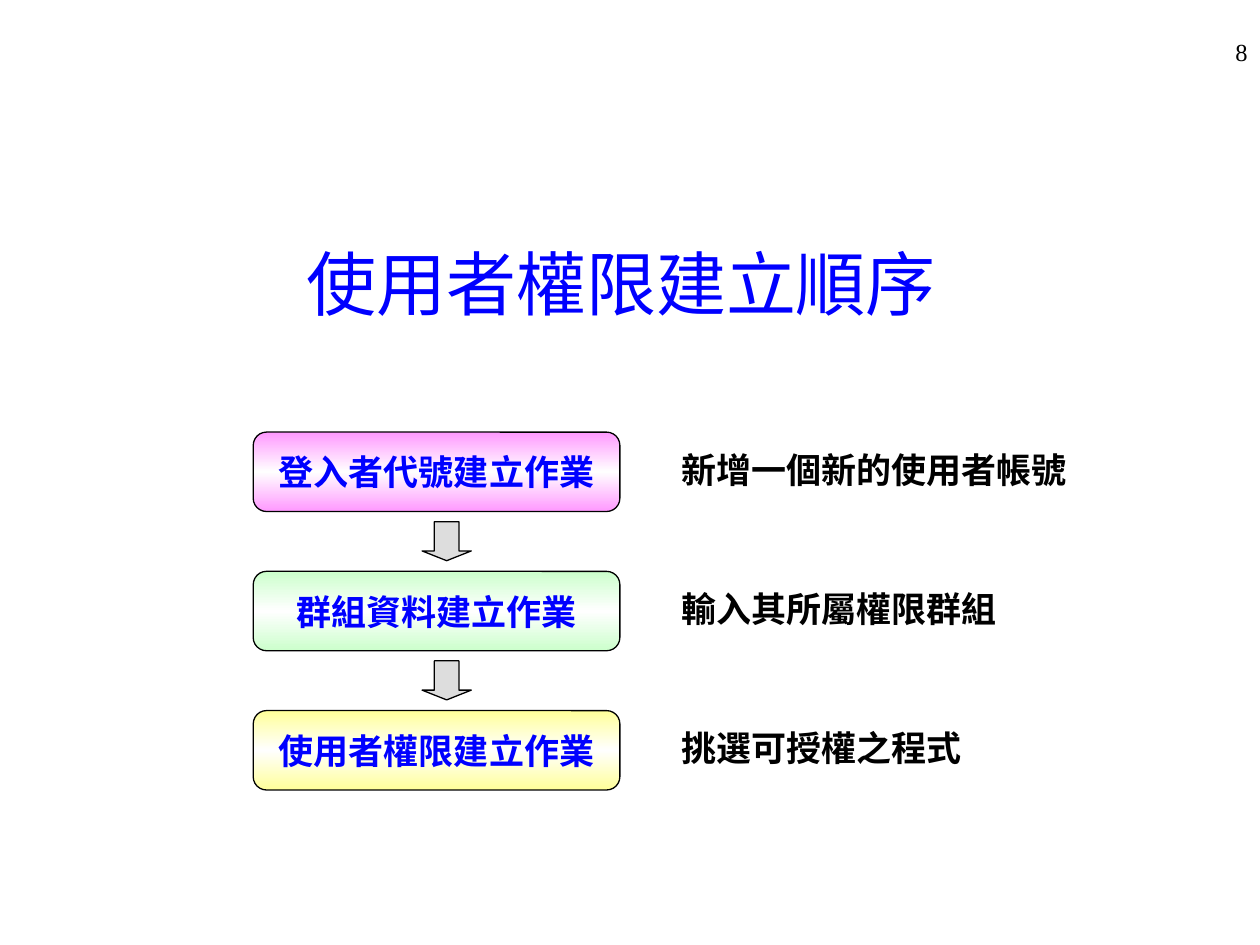
from copy import deepcopy
from pptx import Presentation
from pptx.util import Inches, Pt
from pptx.dml.color import RGBColor
from pptx.enum.shapes import MSO_SHAPE as SHAPE
from pptx.enum.text import MSO_ANCHOR as ANCHOR, MSO_AUTO_SIZE as SIZE, PP_ALIGN as ALIGN

TITLE = "使用者權限建立順序"
PAGE = "8"
STEPS = [
    ("登入者代號建立作業", "FF99FF", "新增一個新的使用者帳號"),
    ("群組資料建立作業", "CCFFCC", "輸入其所屬權限群組"),
    ("使用者權限建立作業", "FFFF99", "挑選可授權之程式"),
]
BLUE, BLACK, WHITE, GREY = "0000FF", "000000", "FFFFFF", "DDDDDD"
TOP, PITCH = 3.43, 1.105


def color(code):
    return RGBColor.from_string(code)


def write(shape, words, size, font, code, align=ALIGN.LEFT, bold=False,
          anchor=ANCHOR.MIDDLE, wrap=True):
    frame = shape.text_frame
    frame.text = words
    frame.word_wrap = wrap
    frame.vertical_anchor = anchor
    para = frame.paragraphs[0]
    para.alignment = align
    face = para.runs[0].font
    face.name, face.size, face.bold = font, Pt(size), bold
    face.color.rgb = color(code)


def add_box(slide, *place):
    return slide.shapes.add_textbox(*map(Inches, place))


def add_form(slide, kind, *place):
    """Add a preset shape with a thin black outline and no shadow."""
    form = slide.shapes.add_shape(kind, *map(Inches, place))
    form.shadow.inherit = False
    form.line.color.rgb = color(BLACK)
    form.line.width = Pt(0.75)
    return form


def blend(fill, code):
    """Fill from code to white in the middle and back, top to bottom."""
    fill.gradient()
    fill.gradient_angle = 90
    first = fill.gradient_stops[0]._gs
    first.addnext(deepcopy(first))
    for stop, place, tint in zip(fill.gradient_stops, (0, 0.5, 1), (code, WHITE, code)):
        stop.position = place
        stop.color.rgb = color(tint)


def main():
    deck = Presentation()
    deck.slide_width, deck.slide_height = Inches(10), Inches(7.5)
    slide = deck.slides.add_slide(deck.slide_layouts[6])

    write(add_box(slide, 7.67, 0.21, 2.33, 0.4), PAGE, 14, "Times New Roman",
          BLACK, ALIGN.RIGHT)
    write(add_box(slide, 0.43, 1.62, 9, 1.25), TITLE, 40, "Times New Roman",
          BLUE, ALIGN.CENTER)

    for i, (name, tint, note) in enumerate(STEPS):
        top = TOP + i * PITCH
        step = add_form(slide, SHAPE.ROUNDED_RECTANGLE, 2.01, top, 2.91, 0.63)
        blend(step.fill, tint)
        write(step, name, 20, "Arial", BLUE, ALIGN.CENTER, bold=True, wrap=False)

        label = add_box(slide, 5.31, top + 0.08, 3.62, 0.43)
        write(label, note, 20, "Arial", BLACK, bold=True, anchor=ANCHOR.TOP)
        label.text_frame.auto_size = SIZE.SHAPE_TO_FIT_TEXT

        if i < len(STEPS) - 1:
            arrow = add_form(slide, SHAPE.DOWN_ARROW, 3.35, top + 0.71, 0.39, 0.31)
            arrow.adjustments[0], arrow.adjustments[1] = 0.5, 0.25
            arrow.fill.solid()
            arrow.fill.fore_color.rgb = color(GREY)

    deck.save("out.pptx")


if __name__ == "__main__":
    main()
